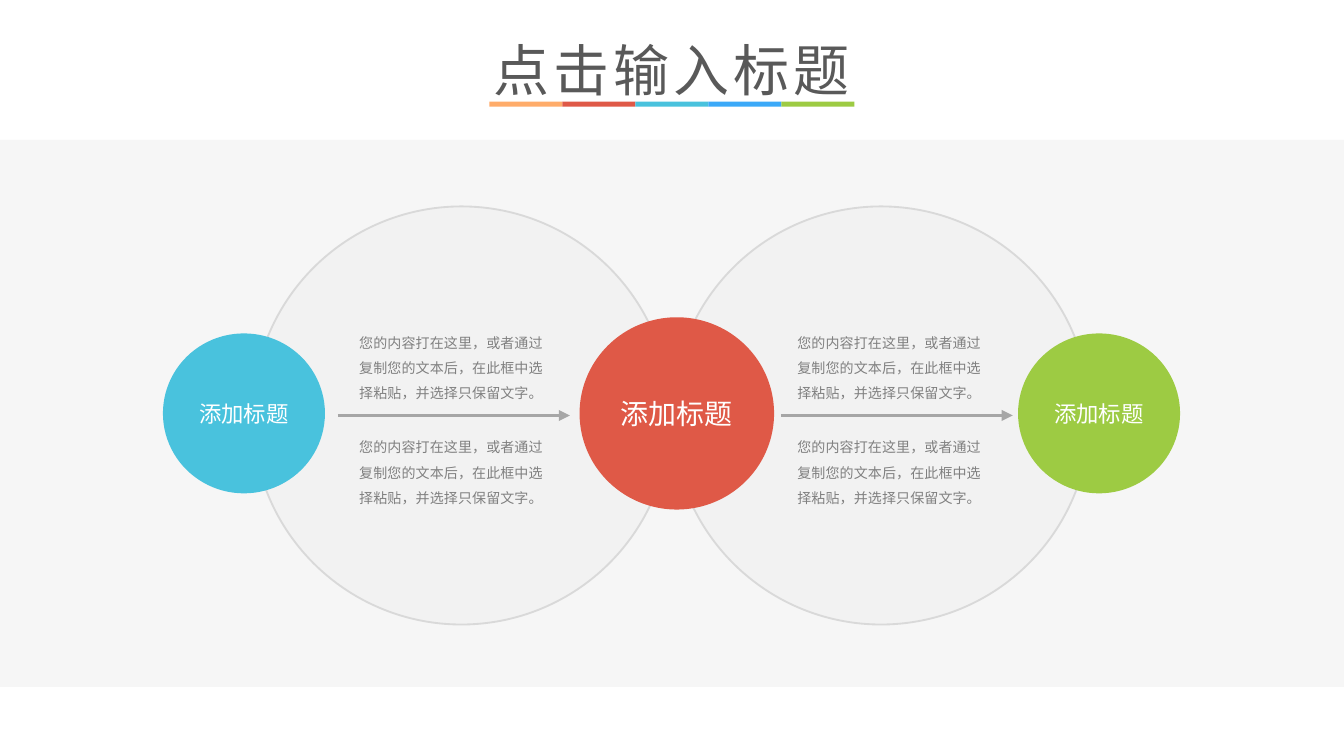
from pptx import Presentation
from pptx.dml.color import RGBColor
from pptx.enum.shapes import MSO_CONNECTOR, MSO_SHAPE
from pptx.enum.text import MSO_ANCHOR, MSO_AUTO_SIZE, PP_ALIGN
from pptx.oxml.ns import qn
from pptx.util import Pt
from lxml.etree import SubElement

COLORS = {
    "orange": "FFAC6A", "red": "DF5947", "teal": "49C2DD",
    "blue": "3BA9F8", "green": "9DCB43", "band": "F6F6F6",
    "ring": "F2F2F2", "ring_line": "D9D9D9", "arrow": "A6A6A6",
    "title": "595959", "body": "808080", "white": "FFFFFF",
}
TITLE_FONT = "Noto Sans CJK JP"
BODY_FONT = "Noto Sans CJK SC"
BODY = "您的内容打在这里，或者通过复制您的文本后，在此框中选择粘贴，并选择只保留文字。"
LABEL = "添加标题"


def color(name):
    return RGBColor.from_string(COLORS[name])


def add_text(frame, text, size, shade, font=BODY_FONT):
    para = frame.paragraphs[0]
    para.alignment = PP_ALIGN.CENTER
    span = para.add_run()
    span.text = text
    span.font.size = Pt(size)
    span.font.name = font
    span.font.color.rgb = color(shade)
    # East Asian text takes its own typeface
    SubElement(span.font._element, qn("a:ea")).set("typeface", font)
    return para, span


def add_shape(page, kind, left, top, width, height, fill, line=None):
    shape = page.shapes.add_shape(kind, Pt(left), Pt(top), Pt(width), Pt(height))
    shape.shadow.inherit = False
    shape.fill.solid()
    shape.fill.fore_color.rgb = color(fill)
    if line:
        shape.line.color.rgb = color(line)
        shape.line.width = Pt(1)
    else:
        shape.line.fill.background()
    return shape


def add_disc(page, left, top, width, height, fill, size):
    disc = add_shape(page, MSO_SHAPE.OVAL, left, top, width, height, fill)
    frame = disc.text_frame
    frame.margin_left = frame.margin_right = 0
    frame.margin_top = frame.margin_bottom = Pt(3)
    frame.vertical_anchor = MSO_ANCHOR.MIDDLE
    add_text(frame, LABEL, size, "white")


def add_arrow(page, left, top, length):
    arrow = page.shapes.add_connector(
        MSO_CONNECTOR.STRAIGHT, Pt(left), Pt(top), Pt(left + length), Pt(top))
    arrow.line.color.rgb = color("arrow")
    arrow.line.width = Pt(1.5)
    SubElement(arrow.line._get_or_add_ln(), qn("a:tailEnd")).set("type", "triangle")
    SubElement(arrow._element.spPr, qn("a:effectLst"))


def add_body(page, left, top):
    box = page.shapes.add_textbox(Pt(left), Pt(top), Pt(116), Pt(48))
    frame = box.text_frame
    frame.word_wrap = True
    frame.vertical_anchor = MSO_ANCHOR.MIDDLE
    para, _ = add_text(frame, BODY, 7.5, "body")
    para.line_spacing = Pt(13.6)


def add_title(page):
    title = page.shapes.title
    title.left, title.top, title.width, title.height = Pt(255), Pt(15), Pt(210), Pt(44)
    frame = title.text_frame
    frame.word_wrap = False
    frame.auto_size = MSO_AUTO_SIZE.NONE
    frame.vertical_anchor = MSO_ANCHOR.MIDDLE
    _, span = add_text(frame, "点击输入标题", 30, "title", TITLE_FONT)
    span.font._element.set("spc", "220")


def main():
    deck = Presentation()
    deck.slide_width, deck.slide_height = Pt(720), Pt(405)
    page = deck.slides.add_slide(deck.slide_layouts[5])

    # Title with its five-colour underline
    add_title(page)
    for index, fill in enumerate(("orange", "red", "teal", "blue", "green")):
        add_shape(page, MSO_SHAPE.RECTANGLE, 262.2 + 39.1 * index, 54.5, 39.1, 2.7, fill)

    # Background band and large rings
    add_shape(page, MSO_SHAPE.RECTANGLE, 0, 75, 720, 293, "band")
    for left in (360, 135.2):
        add_shape(page, MSO_SHAPE.OVAL, left, 110.6, 224, 224, "ring", "ring_line")

    # Arrows, with text above and below each
    for left in (181, 418.3):
        add_arrow(page, left, 222.6, 124.3)
    for left in (183.6, 418.3):
        for top in (170.8, 226.8):
            add_body(page, left, top)

    # Labelled discs
    add_disc(page, 87.3, 178.6, 86.8, 85.7, "teal", 12)
    add_disc(page, 545.4, 178.6, 86.8, 85.7, "green", 12)
    add_disc(page, 310.5, 170, 104.2, 103, "red", 15)

    deck.save("out.pptx")


if __name__ == "__main__":
    main()
